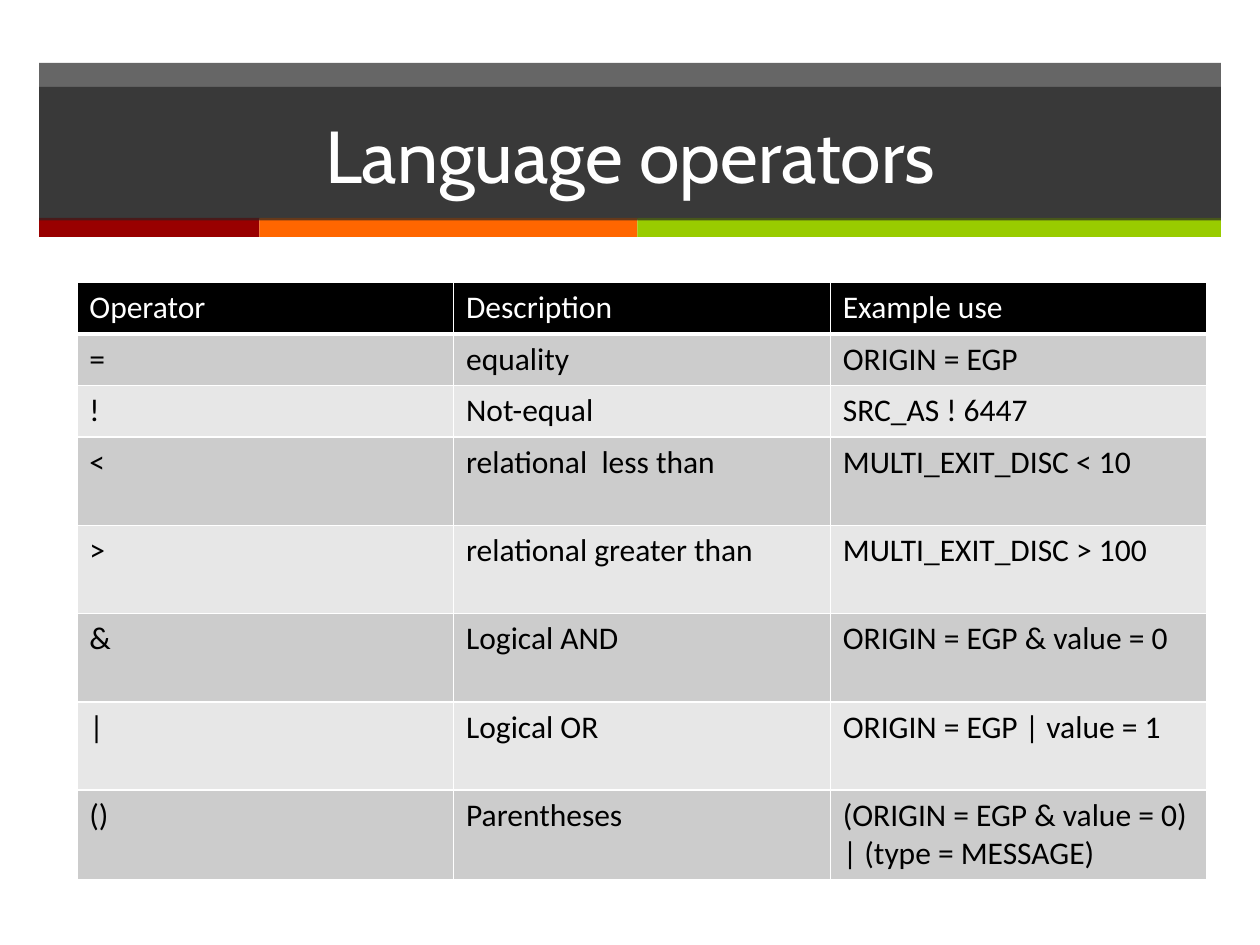
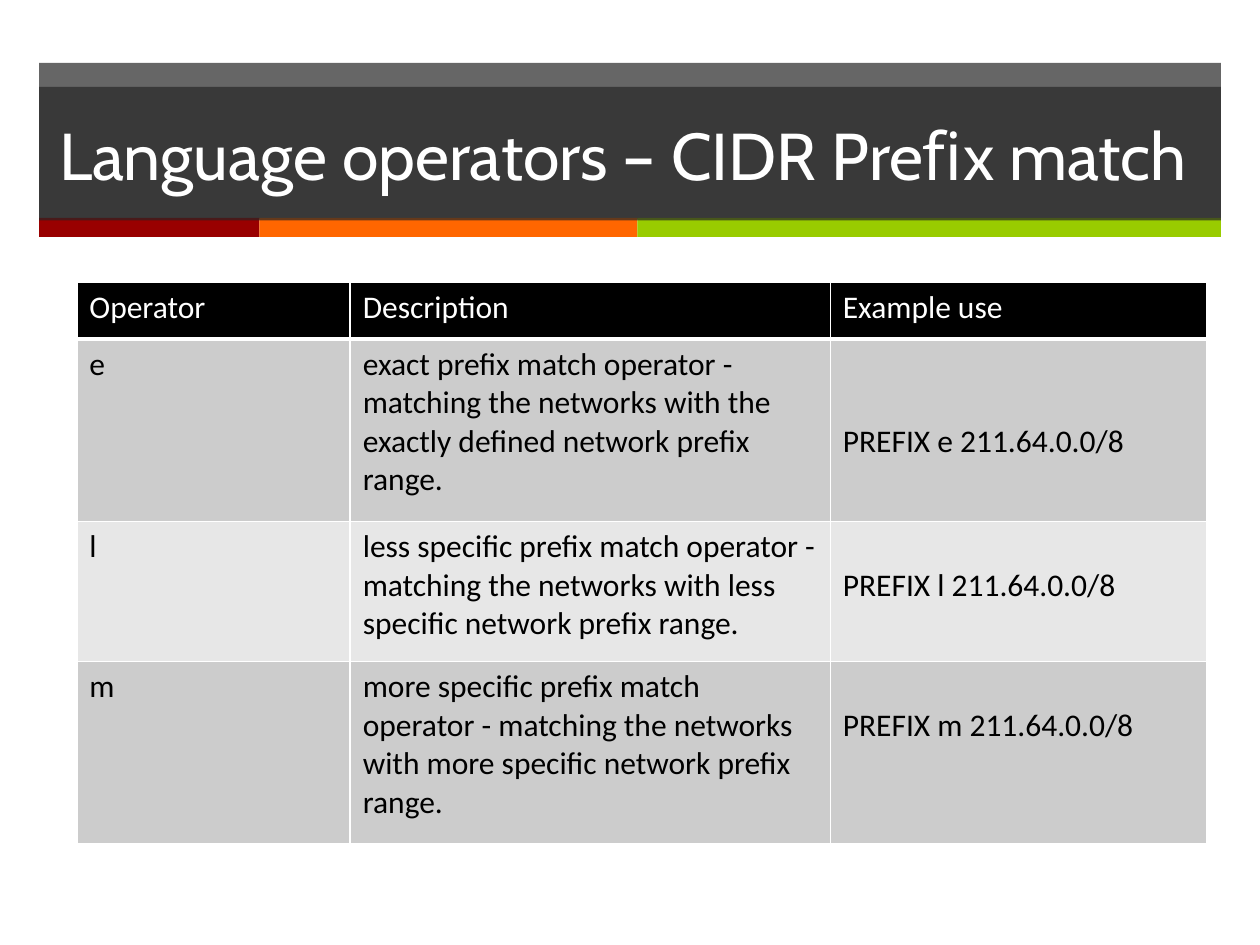
"""Builds two slides with tables of query language operators."""
from lxml.etree import SubElement
from pptx import Presentation
from pptx.dml.color import RGBColor
from pptx.enum.shapes import MSO_SHAPE
from pptx.enum.text import MSO_ANCHOR, PP_ALIGN
from pptx.oxml.ns import qn
from pptx.util import Inches, Pt

HEADER = ("Operator", "Description", "Example use")
SLIDES = [
    {
        "title": "Language operators",
        "title_size": 42,
        "columns": [2.99, 2.99, 2.99],
        "heights": [0.41] * 3 + [0.7] * 5,
        "rows": [
            ("=", "equality", "ORIGIN = EGP"),
            ("!", "Not-equal", "SRC_AS ! 6447"),
            ("<", "relational  less than", "MULTI_EXIT_DISC < 10"),
            (">", "relational greater than", "MULTI_EXIT_DISC > 100"),
            ("&", "Logical AND", "ORIGIN = EGP & value = 0"),
            ("|", "Logical OR", "ORIGIN = EGP | value = 1"),
            ("()", "Parentheses", "(ORIGIN = EGP & value = 0) | (type = MESSAGE)"),
        ],
        "example_drops": [0] * 7,
    },
    {
        "title": "Language operators – CIDR Preﬁx match ",
        "title_size": 37.8,
        "columns": [2.17, 3.81, 2.99],
        "heights": [0.45, 1.45, 1.11, 1.45],
        "rows": [
            ("e", "exact preﬁx match operator - matching the networks with the "
                  "exactly deﬁned network preﬁx range.", "PREFIX e 211.64.0.0/8"),
            ("l", "less speciﬁc preﬁx match operator - matching the networks with less "
                  "speciﬁc network preﬁx range.", "PREFIX l 211.64.0.0/8"),
            ("m", "more speciﬁc preﬁx match operator - matching the networks with more "
                  "speciﬁc network preﬁx\nrange.", "PREFIX m 211.64.0.0/8"),
        ],
        "example_drops": [2, 1, 1],
    },
]

WHITE, BLACK, CHARCOAL = "FFFFFF", "000000", "262626"
ROW_FILLS = ("CCCCCC", "E7E7E7")
STRIPES = [("990000", 1.75), ("FF6600", 3), ("99CC00", 4.63)]
BAND_LEFT, BAND_WIDTH = 0.31, 9.38
TABLE_LEFT, TABLE_TOP = 0.61, 2.24
LINE_HEIGHT, CELL_MARGIN = 0.305, 0.05


def color(value):
    return RGBColor.from_string(value)


def add_bar(page, left, top, width, height, fill, alpha=None):
    bar = page.shapes.add_shape(MSO_SHAPE.RECTANGLE, *map(Inches, (left, top, width, height)))
    bar.shadow.inherit = False
    bar.line.fill.background()
    bar.fill.solid()
    bar.fill.fore_color.rgb = color(fill)
    if alpha:
        srgb = bar.fill._xPr.find(".//" + qn("a:srgbClr"))
        SubElement(srgb, qn("a:alpha"), val=str(alpha * 1000))
    return bar


def style_text(frame, font, size, ink):
    for para in frame.paragraphs:
        for span in para.runs:
            span.font.name = font
            span.font.size = Pt(size)
            span.font.bold = False
            span.font.color.rgb = color(ink)


def add_title_band(page, title, size):
    add_bar(page, BAND_LEFT, 0.5, BAND_WIDTH, 1.24, CHARCOAL, 70)
    left = BAND_LEFT
    for fill, width in STRIPES:
        add_bar(page, left, 1.73, width, 0.15, fill)
        left += width
    frame = add_bar(page, BAND_LEFT, 0.69, BAND_WIDTH, 1.06, CHARCOAL, 70).text_frame
    frame.text = title
    frame.word_wrap = True
    frame.vertical_anchor = MSO_ANCHOR.MIDDLE
    frame.paragraphs[0].alignment = PP_ALIGN.CENTER
    style_text(frame, "Cabin", size, WHITE)


def add_borders(cell, bottom):
    properties = cell._tc.get_or_add_tcPr()
    for side, points in (("L", 1), ("R", 1), ("T", 1), ("B", bottom)):
        line = SubElement(properties, qn(f"a:ln{side}"), w=str(Pt(points)))
        solid = SubElement(line, qn("a:solidFill"))
        SubElement(solid, qn("a:srgbClr"), val=WHITE)


def fill_cell(cell, text, fill, ink, bottom, drop):
    add_borders(cell, bottom)
    cell.fill.solid()
    cell.fill.fore_color.rgb = color(fill)
    cell.margin_top = Inches(CELL_MARGIN + drop * LINE_HEIGHT)
    cell.text_frame.text = text
    style_text(cell.text_frame, "Calibri", 18, ink)


def add_operator_table(page, content):
    rows = [HEADER] + content["rows"]
    columns, heights = content["columns"], content["heights"]
    box = (TABLE_LEFT, TABLE_TOP, sum(columns), sum(heights))
    table = page.shapes.add_table(len(rows), len(columns), *map(Inches, box)).table
    for column, width in zip(table.columns, columns):
        column.width = Inches(width)
    drops = [0] + content["example_drops"]
    for index, (texts, height) in enumerate(zip(rows, heights)):
        table.rows[index].height = Inches(height)
        if index == 0:
            fill, ink, bottom = BLACK, WHITE, 3
        else:
            fill, ink, bottom = ROW_FILLS[(index - 1) % 2], BLACK, 1
        for position, text in enumerate(texts):
            drop = drops[index] if position == 2 else 0
            fill_cell(table.cell(index, position), text, fill, ink, bottom, drop)


def main():
    deck = Presentation()
    deck.slide_width, deck.slide_height = Inches(10), Inches(7.5)
    for content in SLIDES:
        page = deck.slides.add_slide(deck.slide_layouts[6])
        add_title_band(page, content["title"], content["title_size"])
        add_operator_table(page, content)
    deck.save("out.pptx")


if __name__ == "__main__":
    main()
